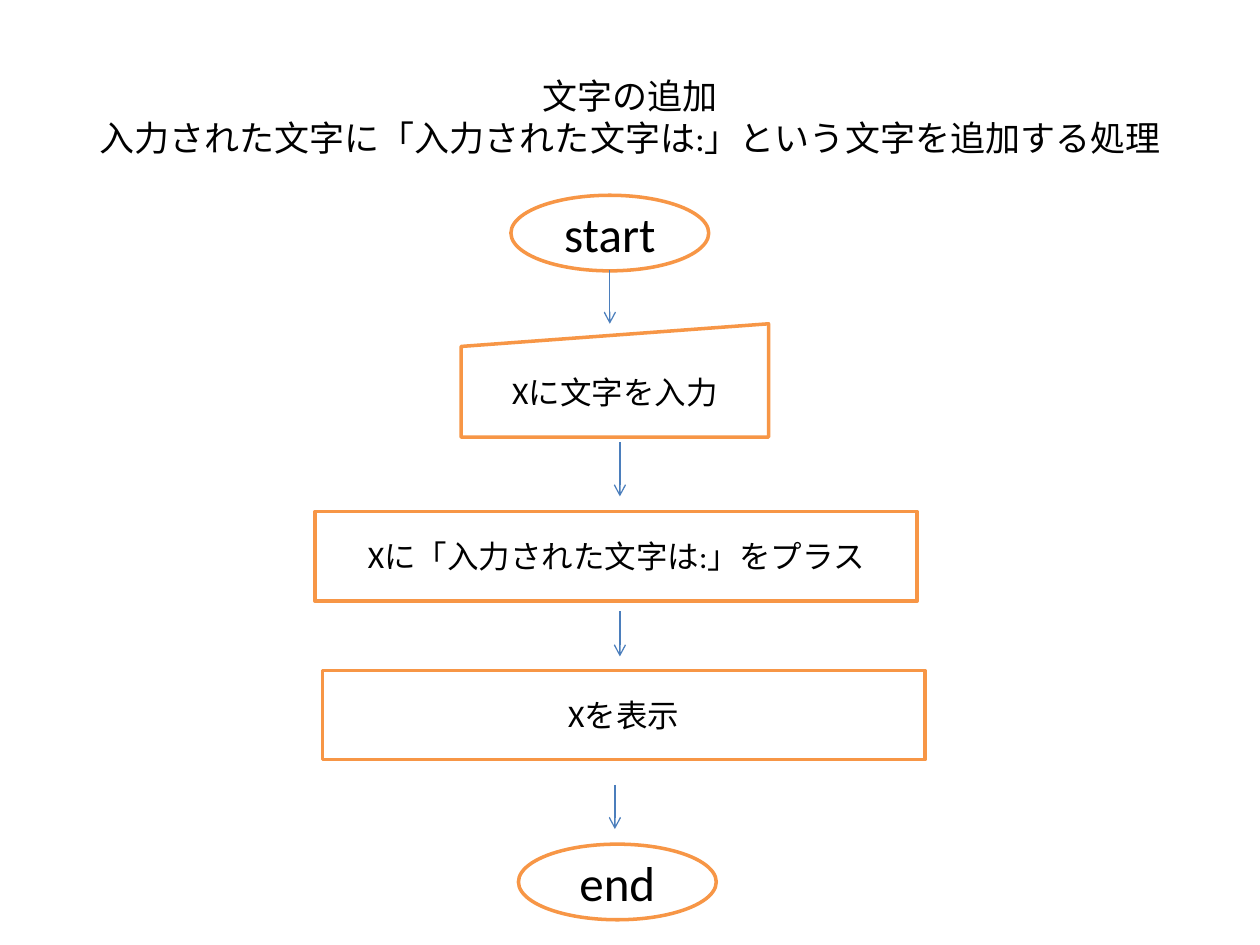
from copy import deepcopy
from dataclasses import dataclass

from pptx import Presentation
from pptx.dml.color import RGBColor
from pptx.enum.shapes import MSO_CONNECTOR, MSO_SHAPE
from pptx.enum.text import MSO_ANCHOR, PP_ALIGN
from pptx.oxml.ns import qn
from pptx.oxml.xmlchemy import OxmlElement
from pptx.util import Inches, Pt


@dataclass(frozen=True)
class Theme:
    font: str = "Calibri"
    ink: RGBColor = RGBColor(0, 0, 0)
    paper: RGBColor = RGBColor(255, 255, 255)
    edge: RGBColor = RGBColor(0xF7, 0x96, 0x46)
    flow: RGBColor = RGBColor(0x4B, 0x7E, 0xBC)
    head: int = 20
    step: int = 18
    cap: int = 28


THEME = Theme()

# Content: positions are columns and rows of a 100 by 75 grid
COLS, ROWS = 100, 75
TITLE = "文字の追加\v入力された文字に「入力された文字は:」という文字を追加する処理"
KINDS = {  # shape, columns wide, rows high, type size
    "cap": (MSO_SHAPE.OVAL, 15.7, 6, THEME.cap),
    "input": (MSO_SHAPE.FLOWCHART_MANUAL_INPUT, 24.4, 9, THEME.step),
    "step": (MSO_SHAPE.RECTANGLE, 47.8, 7.1, THEME.step),
}
STEPS = [  # kind, text, middle column, top row
    ("cap", "start", 48.4, 15.5),
    ("input", "Xに文字を入力", 48.8, 25.7),
    ("step", "Xに「入力された文字は:」をプラス", 48.9, 40.6),
    ("step", "Xを表示", 49.5, 53.2),
    ("cap", "end", 49, 67),
]
ARROWS = [  # column, first row, last row
    (48.4, 21.4, 25.7),
    (49.2, 35.1, 39.4),
    (49.2, 48.5, 52.1),
    (48.8, 62.3, 65.8),
]

deck = Presentation()
deck.slide_width, deck.slide_height = Inches(10), Inches(7.5)
slide = deck.slides.add_slide(deck.slide_layouts[5])


def grid(x, y):
    return int(deck.slide_width * x / COLS), int(deck.slide_height * y / ROWS)


def write(shape, text, size):
    frame = shape.text_frame
    frame.text = text
    frame.word_wrap = True
    frame.vertical_anchor = MSO_ANCHOR.MIDDLE
    para = frame.paragraphs[0]
    para.alignment = PP_ALIGN.CENTER
    for run in para.runs:
        run.font.name = THEME.font
        run.font.size = Pt(size)
        run.font.color.rgb = THEME.ink
    # Line breaks take the same type size as the runs
    for gap in para._p.findall(qn("a:br")):
        gap.append(deepcopy(para.runs[0]._r.rPr))


# Title
title = slide.shapes.title
title.left, title.top = grid(5, 3)
title.width, title.height = grid(90, 12.5)
write(title, TITLE, THEME.head)

# Flow steps
for kind, text, mid, top in STEPS:
    form, wide, high, size = KINDS[kind]
    box = slide.shapes.add_shape(form, *grid(mid - wide / 2, top), *grid(wide, high))
    box.shadow.inherit = False
    box.fill.solid()
    box.fill.fore_color.rgb = THEME.paper
    box.line.color.rgb = THEME.edge
    box.line.width = Pt(2)
    write(box, text, size)

# Arrows between the steps
for col, first, last in ARROWS:
    link = slide.shapes.add_connector(
        MSO_CONNECTOR.STRAIGHT, *grid(col, first), *grid(col, last))
    link.line.color.rgb = THEME.flow
    link.line.width = Pt(0.75)
    tip = OxmlElement("a:tailEnd")
    tip.set("type", "arrow")
    link.line._get_or_add_ln().append(tip)
    link._element.spPr.append(OxmlElement("a:effectLst"))

deck.save("out.pptx")
